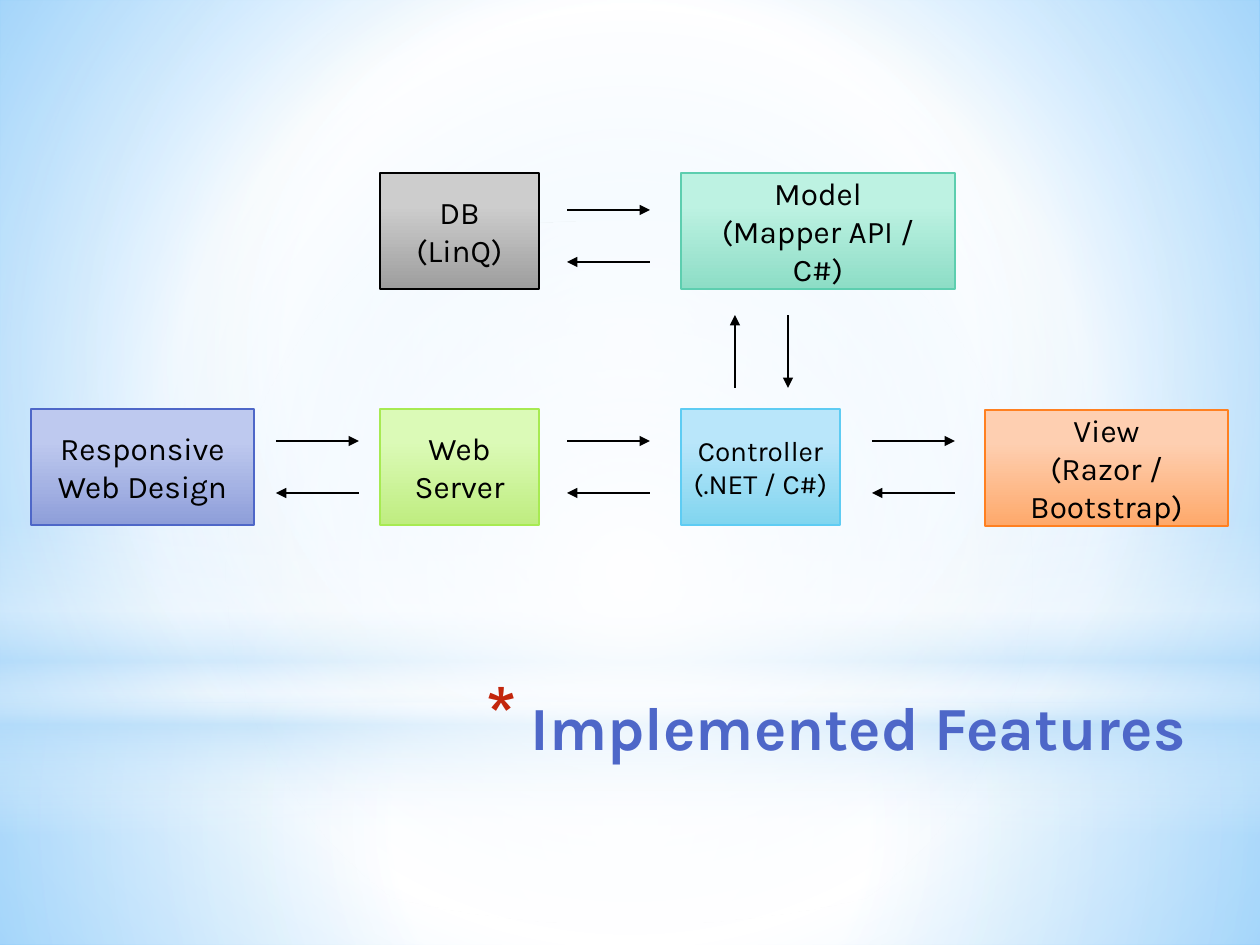
"""Build the Implemented Features architecture slide."""
import pptx
import pptx.dml.color
import pptx.enum.shapes
import pptx.enum.text
import pptx.oxml
import pptx.oxml.ns
import pptx.util

EMU_PER_PX = 914400 / 126
FONT = "Karla"
NS = pptx.oxml.ns.nsdecls("a")
qn = pptx.oxml.ns.qn
rgb = pptx.dml.color.RGBColor.from_string
SHAPES = pptx.enum.shapes.MSO_SHAPE
ALIGN = pptx.enum.text.PP_ALIGN
ANCHOR = pptx.enum.text.MSO_ANCHOR


def px(*lengths):
    return [pptx.util.Emu(round(length * EMU_PER_PX)) for length in lengths]


def paint_gradient(target, stops, angle=None):
    """Fill target with (position, colour, opacity) stops, radial if no angle is given."""
    target.fill.gradient()
    gradient = next(target.element.iter(qn("a:gradFill")))
    for child in list(gradient):
        gradient.remove(child)
    marks = "".join(
        f'<a:gs pos="{position * 1000}"><a:srgbClr val="{colour}">'
        f'<a:alpha val="{opacity * 1000}"/></a:srgbClr></a:gs>'
        for position, colour, opacity in stops)
    gradient.append(pptx.oxml.parse_xml(f"<a:gsLst {NS}>{marks}</a:gsLst>"))
    if angle is None:
        direction = (f'<a:path {NS} path="circle">'
                     '<a:fillToRect l="50000" t="50000" r="50000" b="50000"/></a:path>')
    else:
        direction = f'<a:lin {NS} ang="{angle * 60000}" scaled="0"/>'
    gradient.append(pptx.oxml.parse_xml(direction))


prs = pptx.Presentation()
prs.slide_width, prs.slide_height = px(1260, 945)
slide = prs.slides.add_slide(prs.slide_layouts[5])
paint_gradient(slide.background,
               [(0, "A7D9FF", 100), (60, "FFFFFF", 100), (100, "69BDFC", 100)])

glows = [
    (SHAPES.RECTANGLE, 703, 242, None,
     [(0, "FFFFFF", 91), (37, "FFFFFF", 76), (100, "B4DCFA", 79)]),
    (SHAPES.RECTANGLE, 0, 703, None,
     [(0, "FFFFFF", 89), (48, "FFFFFF", 62), (100, "B4DCFA", 79)]),
    (SHAPES.RECTANGLE, 519, 315, 90,
     [(0, "FFFFFF", 0), (29, "FFFFFF", 30), (45, "B4DCFA", 40),
      (55, "FFFFFF", 26), (65, "B4DCFA", 60), (100, "FFFFFF", 0)]),
    (SHAPES.OVAL, 221, 703, None,
     [(0, "FFFFFF", 100), (56, "FFFFFF", 0), (100, "FFFFFF", 0)]),
]
for outline, top, height, angle, stops in glows:
    glow = slide.shapes.add_shape(outline, *px(0, top, 1260, height))
    glow.shadow.inherit = False
    glow.line.fill.background()
    paint_gradient(glow, stops, angle)

title = slide.shapes.title
slide.shapes.element.append(title.element)
title.left, title.top, title.width, title.height = px(144, 683, 1055, 158)
title.text_frame.text = "Implemented Features"
title.text_frame.auto_size = pptx.enum.text.MSO_AUTO_SIZE.NONE
title.text_frame.vertical_anchor = ANCHOR.TOP
heading = title.text_frame.paragraphs[0]
heading.alignment = ALIGN.RIGHT
heading_font = heading.runs[0].font
heading_font.name, heading_font.size, heading_font.bold = FONT, pptx.util.Pt(35), True
heading_font.color.rgb = rgb("4E67C8")
bullet = heading.runs[0]._r.getparent().get_or_add_pPr()
bullet.set("marL", "320040")
bullet.set("indent", "-320040")
for mark in ('<a:buClr {}><a:srgbClr val="C3260C"/></a:buClr>',
             '<a:buSzPct {} val="128000"/>',
             '<a:buChar {} char="*"/>'):
    bullet.append(pptx.oxml.parse_xml(mark.format(NS)))

components = [
    ("Responsive Web Design", 31, 409, 223, 18, "BEC9EF", "8E9ED9", "4E67C8"),
    ("Web\nServer", 380, 409, 159, 18, "DBFAB7", "BFED80", "A7EA52"),
    ("DB\n(LinQ)", 380, 173, 159, 18, "CDCDCD", "9E9E9E", "000000"),
    ("Controller\n(.NET / C#)", 681, 409, 159, 16, "B9E6FA", "81D5EF", "5ECCF3"),
    ("View\n(Razor / Bootstrap)", 985, 410, 243, 18, "FECFB1", "FEA96B", "FF8021"),
    ("Model\n(Mapper API / C#)", 681, 173, 274, 18, "BDF2E2", "8DDDC6", "5DCEAF"),
]
for label, left, top, width, size, light, dark, border in components:
    component = slide.shapes.add_shape(SHAPES.RECTANGLE, *px(left, top, width, 116))
    component.shadow.inherit = False
    paint_gradient(component, [(0, light, 100), (28, light, 100), (100, dark, 100)], 90)
    component.line.color.rgb = rgb(border)
    component.line.width = pptx.util.Pt(0.75)
    component.text_frame.text = label
    component.text_frame.word_wrap = True
    component.text_frame.vertical_anchor = ANCHOR.MIDDLE
    for paragraph in component.text_frame.paragraphs:
        paragraph.alignment = ALIGN.CENTER
        font = paragraph.runs[0].font
        font.name, font.size = FONT, pptx.util.Pt(size)
        font.color.rgb = rgb("000000")

flows = [(735, 388, 735, 315), (788, 315, 788, 388)]
for start, upper in [(276, 441), (567, 441), (872, 441), (567, 210)]:
    end, lower = start + 83, upper + 52
    flows += [(start, upper, end, upper), (end, lower, start, lower)]
for ends in flows:
    flow = slide.shapes.add_connector(pptx.enum.shapes.MSO_CONNECTOR.STRAIGHT, *px(*ends))
    flow.line.color.rgb = rgb("000000")
    flow.line.width = pptx.util.Pt(1.25)
    flow.line._get_or_add_ln().append(
        pptx.oxml.parse_xml(f'<a:tailEnd {NS} type="triangle"/>'))
    flow.element.spPr.append(pptx.oxml.parse_xml(f"<a:effectLst {NS}/>"))

prs.save("out.pptx")
